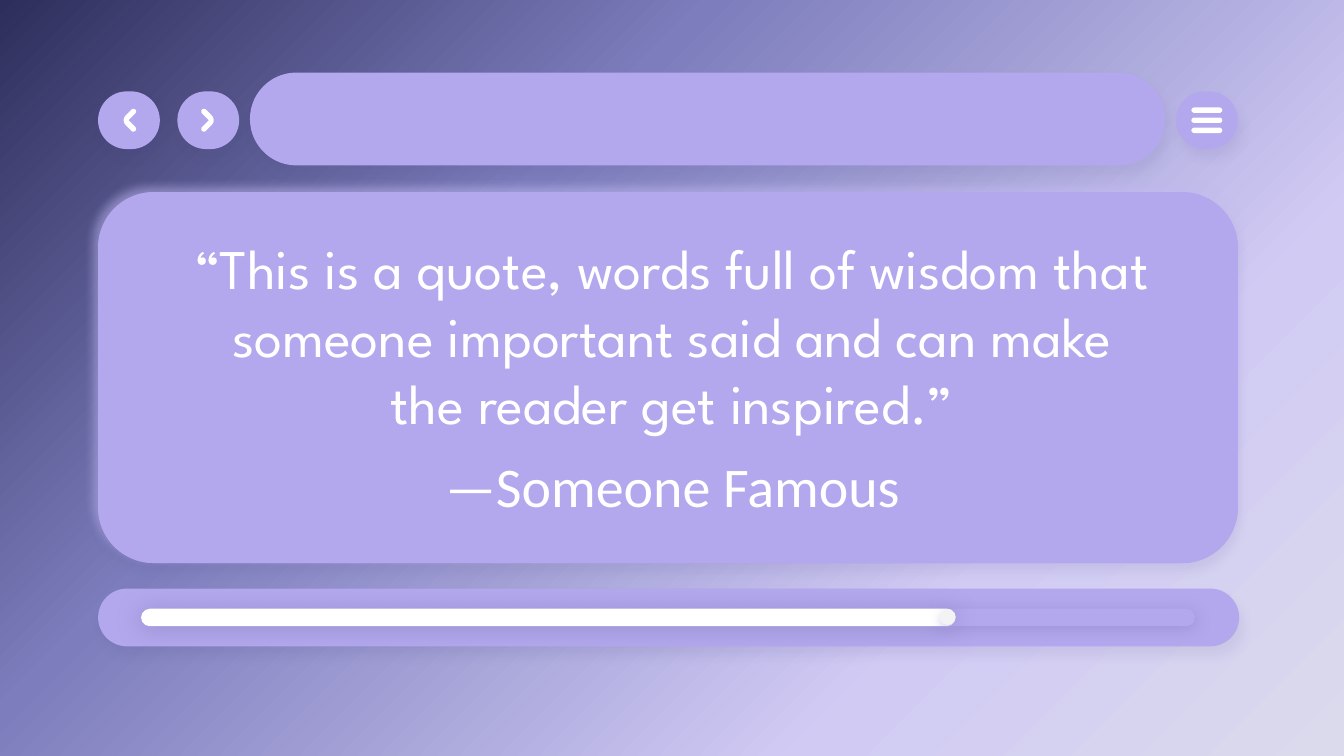
import math

import pptx
import pptx.dml.color
import pptx.enum.shapes
import pptx.enum.text
import pptx.oxml
import pptx.oxml.ns
import pptx.util

Inches = pptx.util.Inches
SHAPES = pptx.enum.shapes.MSO_SHAPE

QUOTE = ("“This is a quote, words full of wisdom that someone important said "
         "and can make the reader get inspired.”")
AUTHOR = "—Someone Famous"

COLORS = {"lilac": "B3A8ED", "white": "FFFFFF", "knob": "F3F3F3",
          "navy": "3E3E7A", "glow": "C4BBF5"}
BACKGROUND = [(0, "2E2E5C"), (34, "7D7DBD"), (74, "D1CBF4"), (100, "DADAEC")]

# Shadows: colour, opacity %, blur pt, distance pt, direction in degrees
SOFT = ("navy", 8, 5.6, 5.2, 66)
PANEL_GLOW = ("glow", 52, 5.6, 3, 226)
PANEL_SHADOW = ("navy", 8, 5.6, 5.2, 84)
TRACK_SHADOW = ("navy", 18, 9, 1.5, 71)
PROGRESS_SHADOW = ("navy", 26, 13.5, 1.5, 141)
KNOB_SHADOW = ("lilac", 50, 4.5, 1.5, 90)

# Boxes: left, top, width, height
SLIDE_WIDTH = 10
SLIDE_HEIGHT = SLIDE_WIDTH * 9 / 16
PANEL = (0.73, 1.43, 8.48, 2.76)
ADDRESS_BAR = (1.86, 0.54, 6.81, 0.69)
BUTTON_TOP, BUTTON_WIDTH, BUTTON_HEIGHT = 0.68, 0.46, 0.43
BACK_LEFT, FORWARD_LEFT, MENU_LEFT = 0.73, 1.32, 8.75
FOOTER_BAR = (0.73, 4.38, 8.49, 0.43)
TRACK = (6.97, 4.53, 1.92, 0.13)
PROGRESS = (1.05, 4.53, 6.06, 0.13)
KNOB = (6.99, 4.53, 0.12, 0.12)
QUOTE_BOX = (1.34, 1.64, 7.32, 1.62)
AUTHOR_BOX = (2.62, 3.26, 4.77, 0.58)


def paint_background(slide):
    stops = "".join(f'<a:gs pos="{pos * 1000}"><a:srgbClr val="{color}"/></a:gs>'
                    for pos, color in BACKGROUND)
    slide.element.cSld.insert(0, pptx.oxml.parse_xml(
        f'<p:bg {pptx.oxml.ns.nsdecls("p", "a")}><p:bgPr><a:gradFill>'
        f'<a:gsLst>{stops}</a:gsLst><a:lin ang="2700000" scaled="0"/>'
        '</a:gradFill><a:effectLst/></p:bgPr></p:bg>'))


def paint(shape, color, shadow=None):
    shape.shadow.inherit = False
    shape.fill.solid()
    shape.fill.fore_color.rgb = pptx.dml.color.RGBColor.from_string(COLORS[color])
    shape.line.fill.background()
    if shadow:
        tint, opacity, blur, distance, direction = shadow
        effects = shape.element.spPr.find(pptx.oxml.ns.qn("a:effectLst"))
        effects.append(pptx.oxml.parse_xml(
            f'<a:outerShdw {pptx.oxml.ns.nsdecls("a")} blurRad="{pptx.util.Pt(blur)}" '
            f'dist="{pptx.util.Pt(distance)}" dir="{direction * 60000}" '
            f'algn="bl" rotWithShape="0"><a:srgbClr val="{COLORS[tint]}">'
            f'<a:alpha val="{opacity * 1000}"/></a:srgbClr></a:outerShdw>'))


def add_bar(slide, box, color="lilac", shadow=None, corner=0.5):
    bar = slide.shapes.add_shape(SHAPES.ROUNDED_RECTANGLE, *map(Inches, box))
    bar.adjustments[0] = corner
    paint(bar, color, shadow)


def add_button(slide, left):
    """Add a round button and return its centre."""
    add_bar(slide, (left, BUTTON_TOP, BUTTON_WIDTH, BUTTON_HEIGHT), shadow=SOFT)
    return left + BUTTON_WIDTH / 2, BUTTON_TOP + BUTTON_HEIGHT / 2


def add_chevron(slide, center, direction):
    """Draw a round-ended chevron; direction is 1 for right, -1 for left."""
    height, radius, bend = 0.17, 0.02, 0.05
    arm = height / 2 - radius
    tip = arm / 2
    bend_x = tip - (bend - radius) * math.sqrt(2)
    arcs = [(-tip, -arm, radius, 135, 315), (bend_x, 0, bend, -45, 45),
            (-tip, arm, radius, 45, 225)]
    points = [(x + size * math.cos(math.radians(angle)),
               y + size * math.sin(math.radians(angle)))
              for x, y, size, start, end in arcs
              for angle in range(start, end + 1, 15)]
    points.append((tip - radius * math.sqrt(2), 0))
    outline = [(Inches(center[0] + direction * x), Inches(center[1] + y))
               for x, y in points]
    builder = slide.shapes.build_freeform(*outline[0])
    builder.add_line_segments(outline[1:], close=True)
    paint(builder.convert_to_shape(), "white")


def add_menu_lines(slide, center):
    width, height, spread = 0.23, 0.04, 0.15
    for step in (-0.5, 0, 0.5):
        add_bar(slide, (center[0] - width / 2, center[1] + step * spread - height / 2,
                        width, height), "white")


def write_text(box, text, place, font, size=30, color="white"):
    box.left, box.top, box.width, box.height = map(Inches, place)
    frame = box.text_frame
    frame.word_wrap = True
    frame.auto_size = pptx.enum.text.MSO_AUTO_SIZE.NONE
    frame.vertical_anchor = pptx.enum.text.MSO_ANCHOR.TOP
    frame.margin_left = frame.margin_right = Inches(0.1)
    frame.margin_top = frame.margin_bottom = Inches(0.1)
    para = frame.paragraphs[0]
    para.alignment = pptx.enum.text.PP_ALIGN.CENTER
    para.line_spacing = 1.0
    para.space_before = pptx.util.Pt(0)
    span = para.add_run()
    span.text = text
    span.font.name = font
    span.font.size = pptx.util.Pt(size)
    span.font.color.rgb = pptx.dml.color.RGBColor.from_string(COLORS[color])


def main():
    deck = pptx.Presentation()
    deck.slide_width, deck.slide_height = Inches(SLIDE_WIDTH), Inches(SLIDE_HEIGHT)
    slide = deck.slides.add_slide(deck.slide_layouts.get_by_name("Title Only"))
    paint_background(slide)

    add_bar(slide, PANEL, shadow=PANEL_GLOW, corner=0.15)
    add_bar(slide, PANEL, shadow=PANEL_SHADOW, corner=0.15)
    add_bar(slide, ADDRESS_BAR, shadow=SOFT)
    add_menu_lines(slide, add_button(slide, MENU_LEFT))

    title = slide.shapes.title
    title.element.getparent().append(title.element)  # bring in front of the panel
    write_text(title, AUTHOR, AUTHOR_BOX, font="Calibri")
    quote = slide.shapes.add_textbox(*map(Inches, QUOTE_BOX))
    write_text(quote, QUOTE, QUOTE_BOX, font="League Spartan")

    add_chevron(slide, add_button(slide, FORWARD_LEFT), direction=1)
    add_chevron(slide, add_button(slide, BACK_LEFT), direction=-1)

    add_bar(slide, FOOTER_BAR, shadow=SOFT)
    add_bar(slide, TRACK, shadow=TRACK_SHADOW)
    add_bar(slide, PROGRESS, "white", shadow=PROGRESS_SHADOW)
    knob = slide.shapes.add_shape(SHAPES.OVAL, *map(Inches, KNOB))
    paint(knob, "knob", KNOB_SHADOW)

    deck.save("out.pptx")


if __name__ == "__main__":
    main()
